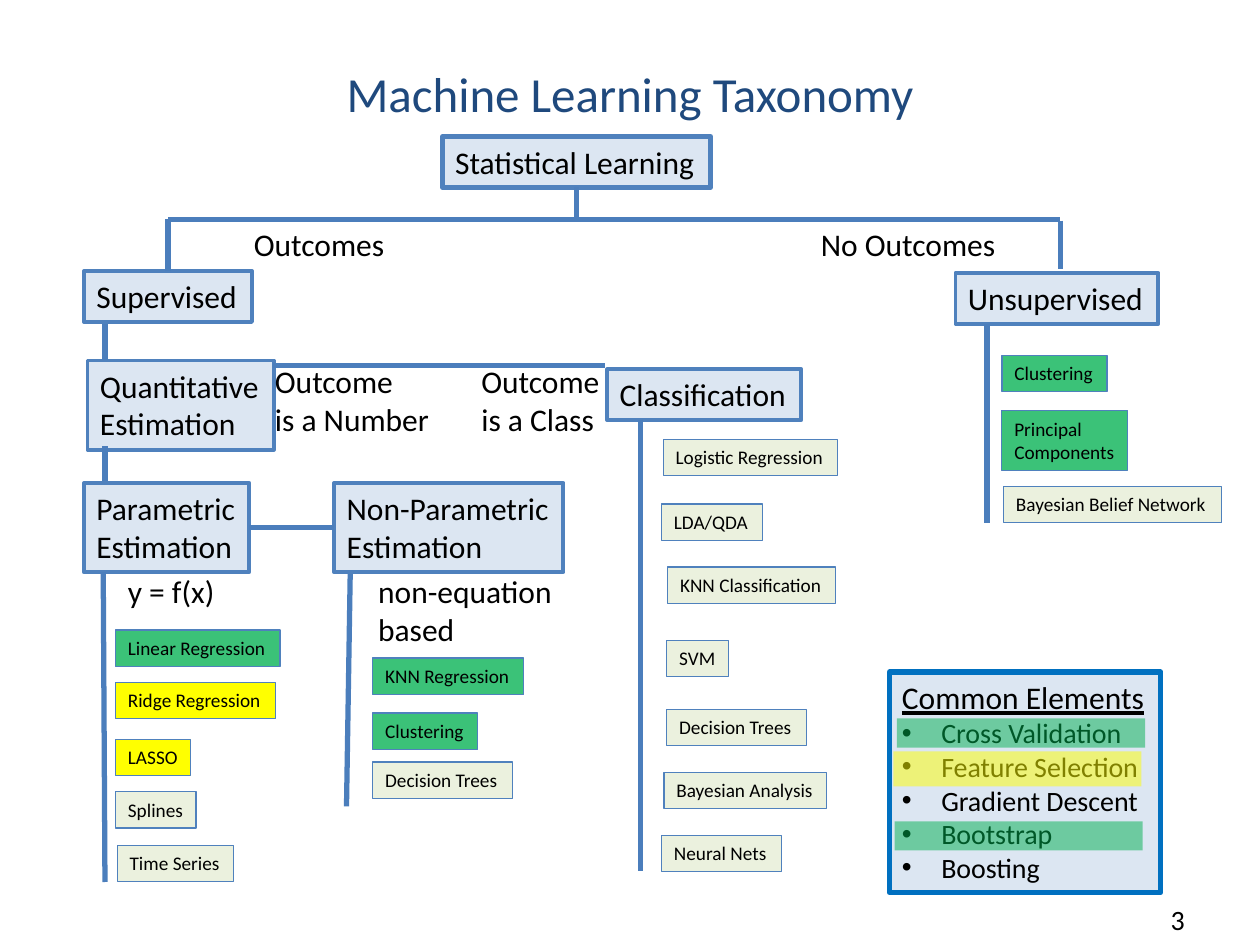
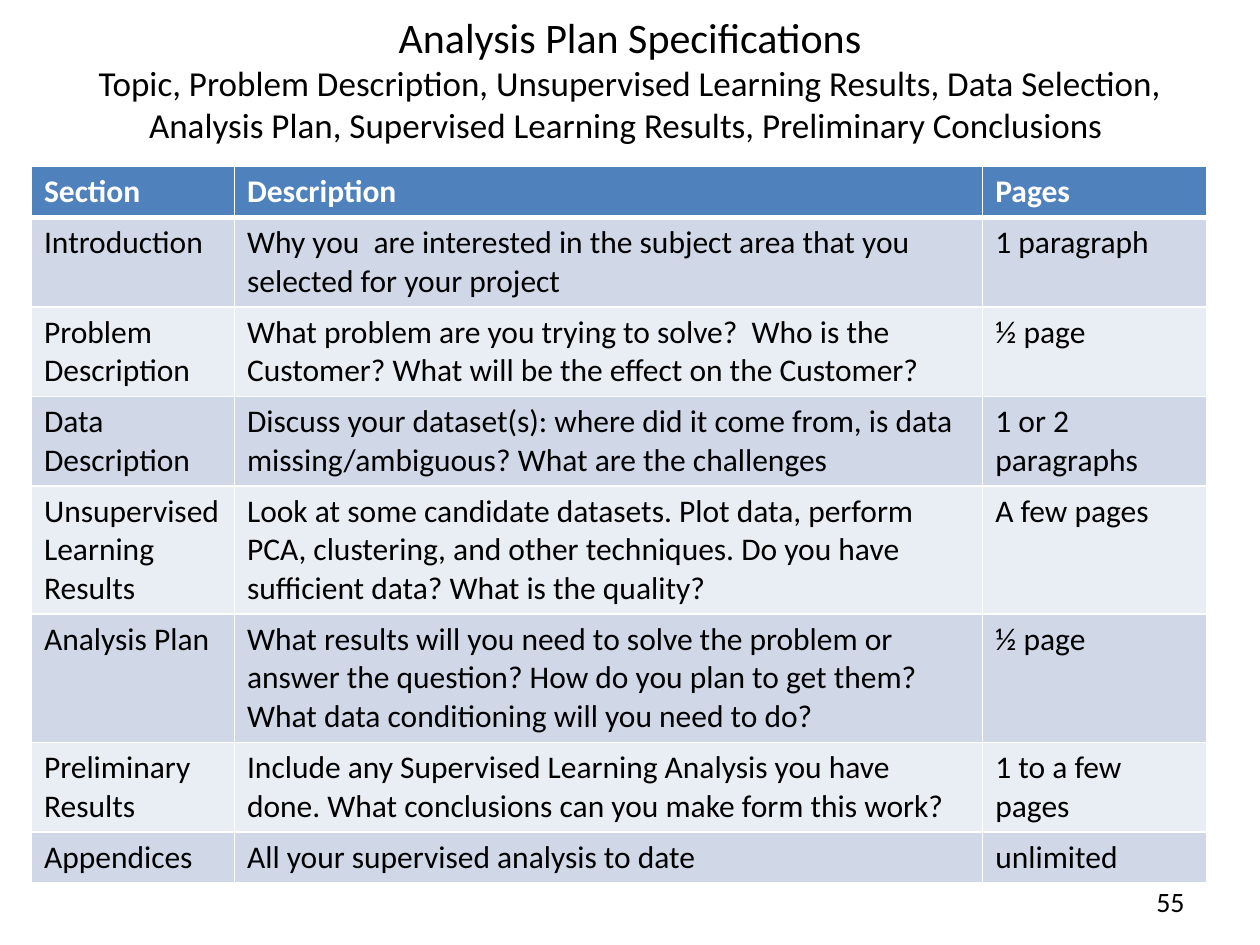
from dataclasses import dataclass

from lxml.etree import SubElement
from pptx import Presentation
from pptx.dml.color import RGBColor
from pptx.enum.shapes import MSO_CONNECTOR, MSO_SHAPE
from pptx.enum.text import MSO_ANCHOR, MSO_AUTO_SIZE, PP_ALIGN
from pptx.oxml.ns import qn
from pptx.util import Pt


@dataclass(frozen=True)
class Theme:
    font: str = "Calibri"
    ink: str = "000000"
    white: str = "FFFFFF"
    navy: str = "1F497D"
    blue: str = "4F81BD"
    link: str = "4B7EBC"
    frame: str = "0070C0"
    pale: str = "DCE6F2"
    green: str = "00B050"
    yellow: str = "FFFF00"
    cream: str = "EBF1DE"
    band_dark: str = "D0D8E8"
    band_light: str = "E9EDF4"
    title: int = 28
    heading: int = 24
    subtitle: int = 20
    body: int = 18
    note: int = 16
    leaf: int = 11
    thin: float = 0.75
    medium: float = 2.25
    thick: float = 3


class Composer:
    def __init__(self, theme):
        self.theme = theme
        self.deck = Presentation()
        self.deck.slide_width, self.deck.slide_height = Pt(720), Pt(540)
        self.page = None

    def new_page(self, number, number_top):
        self.page = self.deck.slides.add_slide(self.deck.slide_layouts[5])
        box = self.page.shapes.add_textbox(Pt(516), Pt(number_top), Pt(168), Pt(28.75))
        self.frame(box, word_wrap=True, vertical_anchor=MSO_ANCHOR.MIDDLE)
        para = box.text_frame.paragraphs[0]
        para.alignment = PP_ALIGN.RIGHT
        self.span(para, number, size=self.theme.note)

    def frame(self, box, **formats):
        for name, value in formats.items():
            setattr(box.text_frame, name, value)

    def span(self, para, text, size, color=None, **formats):
        run = para.add_run()
        run.text = text
        formats = {"name": self.theme.font, "size": Pt(size), **formats}
        for name, value in formats.items():
            setattr(run.font, name, value)
        run.font.color.rgb = RGBColor.from_string(color or self.theme.ink)

    def lines(self, box, text, size):
        self.frame(box, word_wrap=False, vertical_anchor=MSO_ANCHOR.TOP,
                   auto_size=MSO_AUTO_SIZE.SHAPE_TO_FIT_TEXT)
        for index, line in enumerate(text.split("\n")):
            frame = box.text_frame
            para = frame.add_paragraph() if index else frame.paragraphs[0]
            para.alignment = PP_ALIGN.LEFT
            self.span(para, line, size)

    def title(self, place, rows):
        box = self.page.shapes.title
        for name, value in zip(("left", "top", "width", "height"), place):
            setattr(box, name, Pt(value))
        self.frame(box, word_wrap=True, vertical_anchor=MSO_ANCHOR.MIDDLE,
                   auto_size=MSO_AUTO_SIZE.NONE)
        para = box.text_frame.paragraphs[0]
        para.alignment = PP_ALIGN.CENTER
        for index, (text, size, color) in enumerate(rows):
            if index:
                para.add_line_break()
            self.span(para, text, size, color)

    def label(self, place, text):
        box = self.page.shapes.add_textbox(*map(Pt, place))
        self.lines(box, text, self.theme.body)

    def rectangle(self, place, fill, opacity=100, line=None, weight=0):
        box = self.page.shapes.add_shape(MSO_SHAPE.RECTANGLE, *map(Pt, place))
        box.shadow.inherit = False
        box.fill.solid()
        box.fill.fore_color.rgb = RGBColor.from_string(fill)
        if opacity < 100:
            color = box.fill._xPr.find(qn("a:solidFill"))[0]
            SubElement(color, qn("a:alpha"), val=str(opacity * 1000))
        if line:
            box.line.color.rgb = RGBColor.from_string(line)
            box.line.width = Pt(weight)
        else:
            box.line.fill.background()
        return box

    def node(self, place, text, weight=None):
        box = self.rectangle(place, self.theme.pale, line=self.theme.blue,
                             weight=weight or self.theme.medium)
        self.lines(box, text, self.theme.body)
        return box

    def leaf(self, left, top, width, text, fill):
        height = 34 if "\n" in text else 20.8
        opacity = 77 if fill == self.theme.green else 100
        box = self.rectangle((left, top, width, height), fill, opacity,
                             self.theme.blue, self.theme.thin)
        self.lines(box, text, self.theme.leaf)

    def link(self, start, end, begin=None, finish=None):
        line = self.page.shapes.add_connector(
            MSO_CONNECTOR.STRAIGHT, *map(Pt, (*start, *end)))
        line.line.color.rgb = RGBColor.from_string(self.theme.link)
        line.line.width = Pt(self.theme.thick)
        SubElement(line._element.spPr, qn("a:effectLst"))
        if begin:
            line.begin_connect(*begin)
        if finish:
            line.end_connect(*finish)

    def bullet_panel(self, place, heading, items):
        box = self.rectangle(place, self.theme.pale, line=self.theme.frame,
                             weight=self.theme.thick)
        self.lines(box, heading, self.theme.body)
        box.text_frame.paragraphs[0].runs[0].font.underline = True
        for item in items:
            para = box.text_frame.add_paragraph()
            para.alignment = PP_ALIGN.LEFT
            properties = para._p.get_or_add_pPr()
            properties.set("marL", str(Pt(22.5)))
            properties.set("indent", str(-Pt(22.5)))
            SubElement(properties, qn("a:buFont"), typeface="Arial")
            SubElement(properties, qn("a:buChar"), char="•")
            self.span(para, item, self.theme.note)

    def cell(self, cell, text, fill, color, bold, weights):
        properties = cell._tc.get_or_add_tcPr()
        for side, weight in zip("LRTB", weights):
            border = SubElement(properties, qn(f"a:ln{side}"), w=str(Pt(weight)))
            paint = SubElement(border, qn("a:solidFill"))
            SubElement(paint, qn("a:srgbClr"), val=self.theme.white)
        cell.fill.solid()
        cell.fill.fore_color.rgb = RGBColor.from_string(fill)
        self.span(cell.text_frame.paragraphs[0], text, self.theme.body, color, bold=bold)

    def table(self, left, top, widths, rows):
        heights = [7.2 + 22 * line_count for line_count, *_ in rows]
        place = (left, top, sum(widths), sum(heights))
        table = self.page.shapes.add_table(len(rows), len(widths), *map(Pt, place)).table
        for column, width in zip(table.columns, widths):
            column.width = Pt(width)
        bands = (self.theme.band_light, self.theme.band_dark)
        for index, (_, *texts) in enumerate(rows):
            table.rows[index].height = Pt(heights[index])
            header = index == 0
            fill = self.theme.blue if header else bands[index % 2]
            color = self.theme.white if header else self.theme.ink
            weights = (1, 1, 3 if index == 1 else 1, 3 if header else 1)
            for column, text in enumerate(texts):
                self.cell(table.cell(index, column), text, fill, color, header, weights)


def build_taxonomy(composer):
    theme = composer.theme
    composer.new_page("3", 511)
    composer.title((36, 21.6, 648, 62.6),
                   [("Machine Learning Taxonomy", theme.title, theme.navy)])

    composer.link((200.2, 324), (198, 460.8))
    statistical = composer.node((253, 78, 153, 29), "Statistical Learning", theme.thick)
    supervised = composer.node((48, 155, 96, 29), "Supervised")
    composer.node((546, 156, 116, 29), "Unsupervised")
    composer.node((50, 206, 106.5, 51), "Quantitative\nEstimation")
    composer.node((347, 211, 111, 29), "Classification")
    parametric = composer.node((48, 276, 94.5, 51), "Parametric\nEstimation")
    non_parametric = composer.node((191, 276, 131, 51), "Non-Parametric\nEstimation")

    composer.link((329.5, 107), (329.5, 125.3), begin=(statistical, 2))
    composer.link((96, 125.3), (96, 155), finish=(supervised, 0))
    composer.link((142.5, 301.5), (191, 301.5), (parametric, 3), (non_parametric, 1))
    for start, end in (
        ((606, 125.3), (96, 125.3)),
        ((606, 126), (606, 154)),
        ((60, 185), (60, 206)),
        ((60, 255), (60, 275)),
        ((345.6, 208.8), (156.2, 208.8)),
        ((59, 327), (60, 504)),
        ((366, 240), (366, 498)),
        ((564, 185), (564, 299)),
    ):
        composer.link(start, end)

    for place, text in (
        ((138, 125.3, 90, 29), "Outcomes"),
        ((462, 125.3, 115, 29), "No Outcomes"),
        ((150, 203.2, 103.5, 51), "Outcome\nis a Number"),
        ((268, 203.2, 83, 51), "Outcome\nis a Class"),
        ((66, 323.3, 65, 29), "y = f(x)"),
        ((209, 323.3, 115, 51), "non-equation\nbased"),
    ):
        composer.label(place, text)

    leaves = {
        theme.green: (
            (66, 360, 94, "Linear Regression"),
            (213, 376, 86.4, "KNN Regression"),
            (213, 407.5, 60, "Clustering"),
            (572.5, 203, 60, "Clustering"),
            (572.5, 234.7, 72, "Principal\nComponents"),
        ),
        theme.yellow: (
            (66, 390, 91.4, "Ridge Regression"),
            (66, 422.6, 43, "LASSO"),
        ),
        theme.cream: (
            (66, 452.4, 46, "Splines"),
            (67, 483, 66.5, "Time Series"),
            (213, 435.4, 80, "Decision Trees"),
            (379, 251, 99.5, "Logistic Regression"),
            (378, 288, 57.6, "LDA/QDA"),
            (381.5, 324, 96, "KNN Classification"),
            (381, 366, 35.5, "SVM"),
            (381, 405.4, 80, "Decision Trees"),
            (379.4, 441.4, 93, "Bayesian Analysis"),
            (378, 477.4, 68.4, "Neural Nets"),
            (573.5, 278, 124.6, "Bayesian Belief Network"),
        ),
    }
    for fill, group in leaves.items():
        for leaf in group:
            composer.leaf(*leaf, fill)

    composer.bullet_panel((508.3, 384, 155, 126), "Common Elements", (
        "Cross Validation", "Feature Selection", "Gradient Descent",
        "Bootstrap", "Boosting"))
    for left, top, height, fill in (
        (512.6, 410.6, 16.6, theme.green),
        (511.2, 469.4, 16.6, theme.green),
        (510.5, 429.4, 20, theme.yellow),
    ):
        composer.rectangle((left, top, 141.8, height), fill, opacity=50)


def build_analysis_plan(composer):
    theme = composer.theme
    composer.new_page("55", 500.4)
    composer.title((36, 0, 648, 90), [
        ("Analysis Plan Specifications", theme.heading, theme.ink),
        ("Topic, Problem Description, Unsupervised Learning Results, Data Selection, "
         "Analysis Plan, Supervised Learning Results, Preliminary Conclusions ",
         theme.subtitle, theme.ink),
    ])
    composer.table(18, 95, (116, 427.6, 128.2), (
        (1, "Section", "Description", "Pages"),
        (2, "Introduction",
         "Why you  are interested in the subject area that you selected for your project",
         "1 paragraph"),
        (2, "Problem Description",
         "What problem are you trying to solve?  Who is the Customer? "
         "What will be the effect on the Customer?", "½ page"),
        (2, "Data Description",
         "Discuss your dataset(s): where did it come from, is data missing/ambiguous? "
         "What are the challenges", "1 or 2 paragraphs"),
        (3, "Unsupervised Learning Results",
         "Look at some candidate datasets. Plot data, perform PCA, clustering, and other "
         "techniques. Do you have sufficient data? What is the quality?", "A few pages"),
        (3, "Analysis Plan",
         "What results will you need to solve the problem or answer the question? How do "
         "you plan to get them? What data conditioning will you need to do?", "½ page"),
        (2, "Preliminary Results",
         "Include any Supervised Learning Analysis you have done. "
         "What conclusions can you make form this work?", "1 to a few pages"),
        (1, "Appendices", "All your supervised analysis to date", "unlimited"),
    ))


def main():
    composer = Composer(Theme())
    build_taxonomy(composer)
    build_analysis_plan(composer)
    composer.deck.save("out.pptx")


if __name__ == "__main__":
    main()
